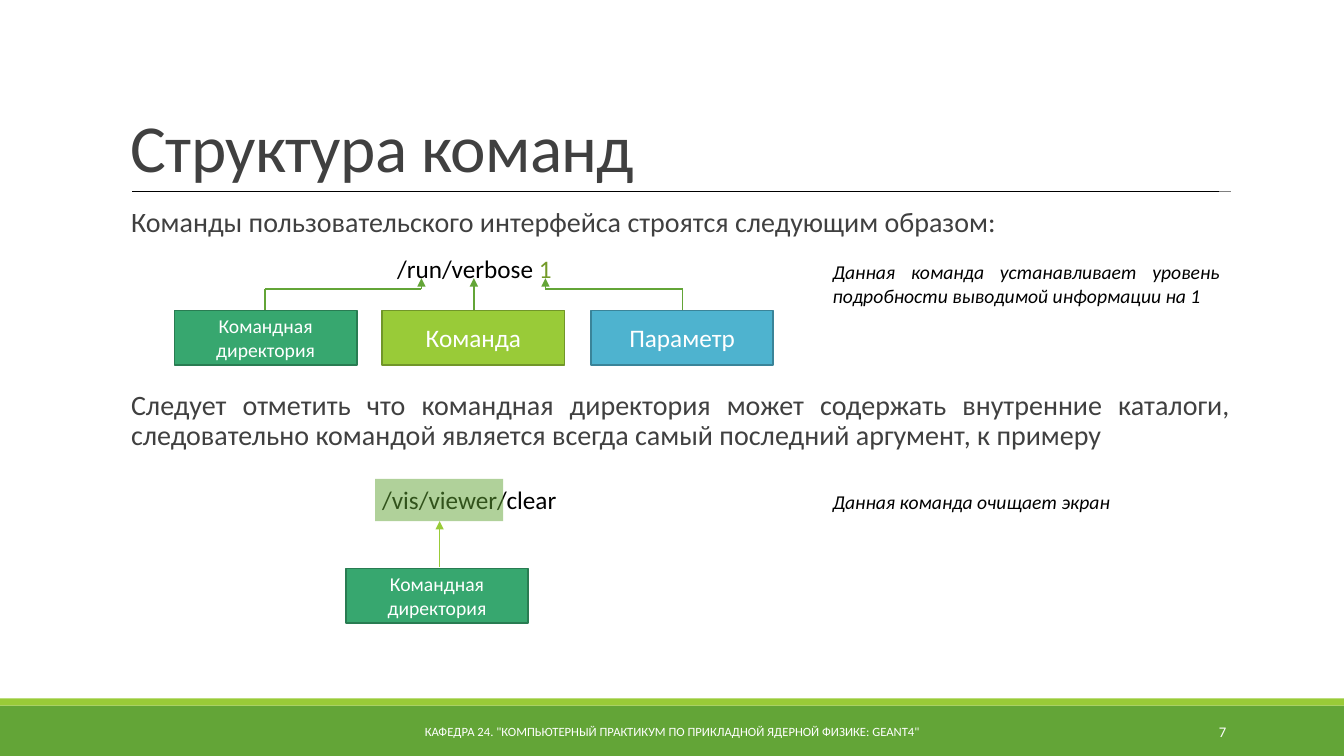
from itertools import pairwise

from lxml.etree import SubElement
from pptx import Presentation
from pptx.dml.color import RGBColor
from pptx.enum.shapes import MSO_CONNECTOR as CONNECTOR, MSO_SHAPE as SHAPE
from pptx.enum.text import MSO_ANCHOR as ANCHOR, PP_ALIGN as ALIGN
from pptx.oxml.ns import qn
from pptx.util import Inches, Pt

COLORS = {
    "green": "63A537", "lime": "99CB38", "emerald": "37A76F", "emerald_edge": "297C52",
    "lime_edge": "719629", "blue": "4EB3CF", "blue_edge": "3A8499", "parameter": "739A28",
    "text": "404040", "black": "000000", "white": "FFFFFF", "gray": "808080",
}
FONT = "Calibri"
TITLE = "Структура команд"
BODY = [
    ("Команды пользовательского интерфейса строятся следующим образом:",
     (1.2, 2.02, 11, 0.5), ALIGN.LEFT),
    ("Следует отметить что командная директория может содержать внутренние каталоги, "
     "следовательно командой является всегда самый последний аргумент, к примеру",
     (1.2, 3.83, 11, 0.72), ALIGN.JUSTIFY),
]
COMMANDS = [
    ([("/run/verbose ", "black"), ("1", "parameter")], (1.97, 2.46, 5.47, 0.4)),
    ([("/vis/viewer/clear", "black")], (1.92, 4.76, 5.47, 0.4)),
]
REMARKS = [
    ("Данная команда устанавливает уровень подробности выводимой информации на 1",
     (8.16, 2.53, 4.04, 0.57), ALIGN.JUSTIFY),
    ("Данная команда очищает экран", (8.16, 4.81, 3.9, 0.34), ALIGN.LEFT),
]
FOOTERS = [
    ('КАФЕДРА 24. "КОМПЬЮТЕРНЫЙ ПРАКТИКУМ ПО ПРИКЛАДНОЙ ЯДЕРНОЙ ФИЗИКЕ: GEANT4"',
     (4.03, 7.06, 5.27, 0.4), 9, ALIGN.CENTER),
    ("7", (10.83, 7.06, 1.43, 0.4), 10.5, ALIGN.RIGHT),
]
BOX_WIDTH, BOX_HEIGHT = 1.81, 0.54
BOXES = [
    ("Командная директория", 1.73, 3.08, "emerald", 14),
    ("Команда", 3.79, 3.08, "lime", 18),
    ("Параметр", 5.86, 3.08, "blue", 18),
    ("Командная директория", 3.43, 5.64, "emerald", 14),
]
BANDS = [((0, 7, 13.33, 0.5), "green"), ((0, 6.93, 13.33, 0.07), "lime")]
RULES = [(12.21, "gray", 0.5), (12.09, "black", 1)]
HIGHLIGHT = (3.72, 4.75, 1.27, 0.42)
ROUTES = [
    ([(2.63, 3.08), (2.63, 2.87), (4.18, 2.87), (4.18, 2.76)], "green", 1.25),
    ([(4.7, 3.08), (4.7, 2.76)], "green", 1.25),
    ([(6.77, 3.08), (6.77, 2.87), (5.41, 2.87), (5.41, 2.76)], "green", 1.25),
    ([(4.36, 5.63), (4.36, 5.17)], "lime", 1),
]


def color(name):
    """Return the named colour."""
    return RGBColor.from_string(COLORS[name])


def fill_text(shape, runs, size, align, anchor=ANCHOR.TOP, italic=False):
    """Write coloured runs into one paragraph of a shape and return it."""
    frame = shape.text_frame
    frame.word_wrap = True
    frame.vertical_anchor = anchor
    paragraph = frame.paragraphs[0]
    paragraph.alignment = align
    for text, tint in runs:
        run = paragraph.add_run()
        run.text = text
        run.font.name = FONT
        run.font.size = Pt(size)
        run.font.italic = italic
        run.font.color.rgb = color(tint)
    return paragraph


def add_text(slide, place, *args, **options):
    """Add a text box holding one paragraph and return both."""
    box = slide.shapes.add_textbox(*map(Inches, place))
    return box, fill_text(box, *args, **options)


def add_rectangle(slide, place, fill, edge=None):
    """Add a flat rectangle."""
    shape = slide.shapes.add_shape(SHAPE.RECTANGLE, *map(Inches, place))
    shape.shadow.inherit = False
    shape.fill.solid()
    shape.fill.fore_color.rgb = color(fill)
    if edge:
        shape.line.color.rgb = color(edge)
        shape.line.width = Pt(1.25)
    else:
        shape.line.fill.background()
    return shape


def add_line(slide, start, end, tint, width, arrow=False):
    """Add a straight line, with an arrowhead at its end if asked."""
    line = slide.shapes.add_connector(CONNECTOR.STRAIGHT, *map(Inches, (*start, *end)))
    line.line.color.rgb = color(tint)
    line.line.width = Pt(width)
    if arrow:
        SubElement(line.line._get_or_add_ln(), qn("a:tailEnd"), type="triangle")
    SubElement(line._element.spPr, qn("a:effectLst"))


def add_frame(slide):
    """Draw the bands, title, rules and footers."""
    for place, tint in BANDS:
        add_rectangle(slide, place, tint)
    for right, tint, width in RULES:
        add_line(slide, (1.31, 1.9), (right, 1.9), tint, width)
    _, paragraph = add_text(slide, (1.2, 0.31, 11, 1.59), [(TITLE, "text")], 48,
                            ALIGN.LEFT, ANCHOR.BOTTOM)
    paragraph.line_spacing = 0.85
    paragraph.runs[0].font._element.set("spc", "-50")
    for text, place, size, align in FOOTERS:
        add_text(slide, place, [(text, "white")], size, align, ANCHOR.MIDDLE)


def add_content(slide):
    """Draw the body text, commands, labels and arrows."""
    for text, place, align in BODY:
        box, paragraph = add_text(slide, place, [(text, "text")], 20, align)
        box.text_frame.margin_left = box.text_frame.margin_right = 0
        paragraph.line_spacing = 0.9
        paragraph.space_before, paragraph.space_after = Pt(12), Pt(2)
        paragraph._p.get_or_add_pPr().set("marL", str(Inches(0.1)))
    for runs, place in COMMANDS:
        add_text(slide, place, runs, 18, ALIGN.CENTER)
    for text, place, align in REMARKS:
        add_text(slide, place, [(text, "black")], 14, align, italic=True)
    for text, left, top, tint, size in BOXES:
        box = add_rectangle(slide, (left, top, BOX_WIDTH, BOX_HEIGHT), tint, f"{tint}_edge")
        fill_text(box, [(text, "white")], size, ALIGN.CENTER, ANCHOR.MIDDLE)
    highlight = add_rectangle(slide, HIGHLIGHT, "green")
    tint = highlight._element.spPr.find(qn("a:solidFill"))[0]
    SubElement(tint, qn("a:alpha"), val="50000")
    for points, tint, width in ROUTES:
        for start, end in pairwise(points):
            add_line(slide, start, end, tint, width, arrow=end == points[-1])


def main():
    """Build and save the slide."""
    presentation = Presentation()
    presentation.slide_width, presentation.slide_height = Inches(13.33), Inches(7.5)
    slide = presentation.slides.add_slide(presentation.slide_layouts[6])
    add_frame(slide)
    add_content(slide)
    presentation.save("out.pptx")


if __name__ == "__main__":
    main()
